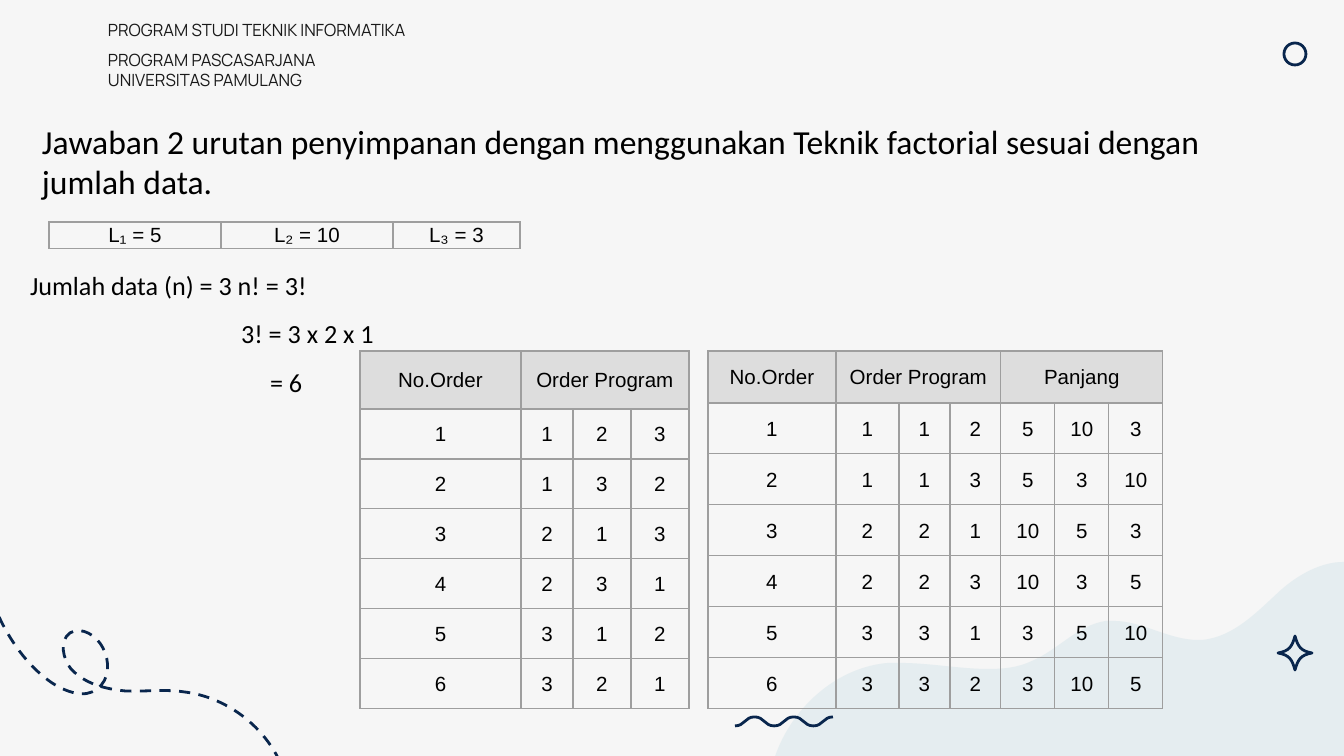
from itertools import permutations

from lxml import etree
from pptx import Presentation
from pptx.dml.color import RGBColor
from pptx.enum.dml import MSO_LINE
from pptx.enum.shapes import MSO_SHAPE
from pptx.enum.text import MSO_ANCHOR, PP_ALIGN
from pptx.oxml import parse_xml
from pptx.oxml.ns import qn
from pptx.util import Emu, Pt

PX = 914400 / 134.4
CENTER, MIDDLE, TOP = PP_ALIGN.CENTER, MSO_ANCHOR.MIDDLE, MSO_ANCHOR.TOP
OVAL, DASH = MSO_SHAPE.OVAL, MSO_LINE.DASH
NS = "http://schemas.openxmlformats.org/drawingml/2006/main"
NAVY, GRAY, BLACK = "09264D", "DDDDDD", "000000"
LENGTHS = (5, 10, 3)

BLOB = [(586, 0), (594, 0, 602, 1, 610, 5), (598, 230), (13, 255),
        (0, 184, 59, 107, 131, 101), (135, 101, 139, 101, 143, 101),
        (173, 101, 203, 107, 231, 107), (246, 107, 260, 106, 275, 99),
        (301, 88, 321, 63, 349, 59), (352, 59, 354, 59, 357, 59),
        (385, 59, 412, 78, 441, 78), (442, 78, 443, 78, 445, 78),
        (477, 75, 500, 50, 524, 28), (541, 13, 564, 0, 586, 0)]
LOOP = [(0, 0), (8, 27, 16, 52, 28, 78), (40, 102, 57, 125, 79, 140),
        (93, 149, 112, 156, 124, 146), (137, 137, 137, 118, 130, 105),
        (124, 93, 109, 83, 97, 90), (86, 98, 90, 116, 98, 126),
        (112, 141, 132, 146, 152, 148), (171, 149, 191, 146, 211, 149),
        (262, 155, 307, 196, 316, 247)]
STAR = [(0, 17), (11, 19, 14, 23, 17, 34), (20, 23, 23, 19, 34, 17),
        (23, 15, 20, 11, 17, 0), (14, 11, 11, 15, 0, 17)]


def px(n):
    """Turn pixels into EMU."""
    return Emu(round(n * PX))


def color(value):
    """Turn a hex string into a colour."""
    return RGBColor.from_string(value)


def write(tf, text, size=11, font="Arial", fill=BLACK, align=None, spacing=None,
          after=None, indent=0, first=True):
    """Write one paragraph in a text frame."""
    p = tf.paragraphs[0] if first else tf.add_paragraph()
    if indent:
        p._p.get_or_add_pPr().set("marL", str(px(indent)))
    if align is not None:
        p.alignment = align
    if spacing:
        p.line_spacing = spacing
    if after:
        p.space_after = Pt(after)
    r = p.add_run()
    r.text = text
    r.font.size, r.font.name = Pt(size), font
    r.font.color.rgb = color(fill)


def text_box(s, x, y, w, h, paragraphs, anchor=TOP, pad=7, **style):
    """Add a text box from (text, format) pairs."""
    tf = s.shapes.add_textbox(px(x), px(y), px(w), px(h)).text_frame
    tf.word_wrap, tf.vertical_anchor = True, anchor
    tf.margin_left = tf.margin_right = px(13)
    tf.margin_top = tf.margin_bottom = px(pad)
    for i, (text, extra) in enumerate(paragraphs):
        write(tf, text, first=i == 0, **style, **extra)


def outline(sp):
    """Give a shape a plain navy outline."""
    sp.shadow.inherit = False
    sp.fill.background()
    sp.line.color.rgb, sp.line.width = color(NAVY), Pt(1.5)
    return sp


def curve(s, x, y, segments, close=False):
    """Draw lines (2 numbers) and cubic curves (6 numbers) relative to (x, y)."""
    dots = [(px(x + seg[i]), px(y + seg[i + 1]))
            for seg in segments for i in range(0, len(seg), 2)]
    builder = s.shapes.build_freeform(*dots[0])
    builder.add_line_segments(dots[1:], close=close)
    sp = builder.convert_to_shape()
    route = next(sp._element.iter(qn("a:path")))
    lines = iter(route.findall(qn("a:lnTo")))
    for seg in segments[1:]:
        nodes = [next(lines) for _ in range(len(seg) // 2)]
        if len(nodes) == 3:
            bezier = etree.Element(qn("a:cubicBezTo"))
            nodes[0].addprevious(bezier)
            for node in nodes:
                bezier.append(node[0])
                route.remove(node)
    return outline(sp)


def decoration(s):
    """Draw the ornaments around the slide."""
    blob = curve(s, 757, 562, BLOB, close=True)
    blob.line.fill.background()
    blob.fill.solid()
    blob.fill.fore_color.rgb = color("D6E6EB")
    tint = blob._element.spPr.find(qn("a:solidFill"))[0]
    etree.SubElement(tint, qn("a:alpha"), val="53000")
    curve(s, -27, 543, LOOP).line.dash_style = DASH
    wave, step = [(0, 9)], 98 / 5
    for i in range(5):
        low, high = (9, 0) if i % 2 == 0 else (0, 9)
        middle = step * (i + 0.5)
        wave.append((middle, low, middle, high, step * (i + 1), high))
    curve(s, 735, 717, wave)
    curve(s, 1278, 636, STAR, close=True)
    outline(s.shapes.add_shape(OVAL, px(1284), px(43), px(22), px(22)))


def format_cell(cell, text, fill, anchor):
    """Set borders, fill and text of one cell."""
    tcPr = cell._tc.get_or_add_tcPr()
    for side in "LRTB":
        tcPr.append(parse_xml(
            f'<a:ln{side} xmlns:a="{NS}" w="9525"><a:solidFill>'
            f'<a:srgbClr val="9E9E9E"/></a:solidFill></a:ln{side}>'))
    if fill:
        cell.fill.solid()
        cell.fill.fore_color.rgb = color(fill)
    else:
        cell.fill.background()
    cell.margin_left = cell.margin_right = px(9)
    cell.margin_top = cell.margin_bottom = 0
    cell.vertical_anchor = anchor
    if not cell.is_spanned:
        write(cell.text_frame, text, align=CENTER, spacing=1.07, after=8)


def table(s, x, y, widths, heights, rows, header=False, anchor=MIDDLE):
    """Add a table; header cells left as None join the cell before them."""
    frame = s.shapes.add_table(len(rows), len(widths), px(x), px(y),
                               px(sum(widths)), px(sum(heights)))
    tbl = frame.table
    tbl.first_row = tbl.horz_banding = False
    for col, w in zip(tbl.columns, widths):
        col.width = px(w)
    for row, h in zip(tbl.rows, heights):
        row.height = px(h)
    if header:
        for c in range(1, len(widths), 3):
            tbl.cell(0, c).merge(tbl.cell(0, c + 2))
    for i, values in enumerate(rows):
        for j, value in enumerate(values):
            fill = GRAY if header and i == 0 else None
            format_cell(tbl.cell(i, j), str(value), fill, anchor)


def main():
    """Build the slide."""
    prs = Presentation()
    prs.slide_width, prs.slide_height = px(1344), px(756)
    s = prs.slides.add_slide(prs.slide_layouts[6])
    s.background.fill.solid()
    s.background.fill.fore_color.rgb = color("F6F6F6")
    decoration(s)
    text_box(s, 95, 24, 371, 62,
             [("PROGRAM STUDI TEKNIK INFORMATIKA", {}),
              ("PROGRAM PASCASARJANA", {"spacing": 1.5}),
              ("UNIVERSITAS PAMULANG", {})],
             anchor=MIDDLE, pad=13, size=9, font="Manrope", fill="191919")
    text_box(s, 29, 114, 1210, 140,
             [("Jawaban 2 urutan penyimpanan dengan menggunakan Teknik factorial "
               "sesuai dengan jumlah data.", {})], size=18, font="Calibri")
    text_box(s, 17, 260, 691, 144,
             [("Jumlah data (n) = 3 n! = 3!", {}),
              ("3! = 3 x 2 x 1", {"indent": 211}),
              ("= 6", {"indent": 240})],
             size=14, font="Calibri", spacing=1.07, after=8)
    orders = list(permutations((1, 2, 3)))
    head = ["No.Order", "Order Program", None, None]
    programs = [[n, *order] for n, order in enumerate(orders, 1)]
    table(s, 360, 351, [161, 52, 58, 58], [58] + [50] * 6,
          [head] + programs, header=True)
    lengths = [[n, a, a, b] + [LENGTHS[k - 1] for k in (a, b, c)]
               for n, (a, b, c) in enumerate(orders, 1)]
    table(s, 708, 351, [128, 63, 51, 51, 54, 54, 54], [52] + [51] * 6,
          [head + ["Panjang", None, None]] + lengths, header=True)
    table(s, 49, 222, [172, 172, 127], [26],
          [[f"{name} = {n}" for name, n in zip(("L₁", "L₂", "L₃"), LENGTHS)]],
          anchor=TOP)
    prs.save("out.pptx")


if __name__ == "__main__":
    main()
